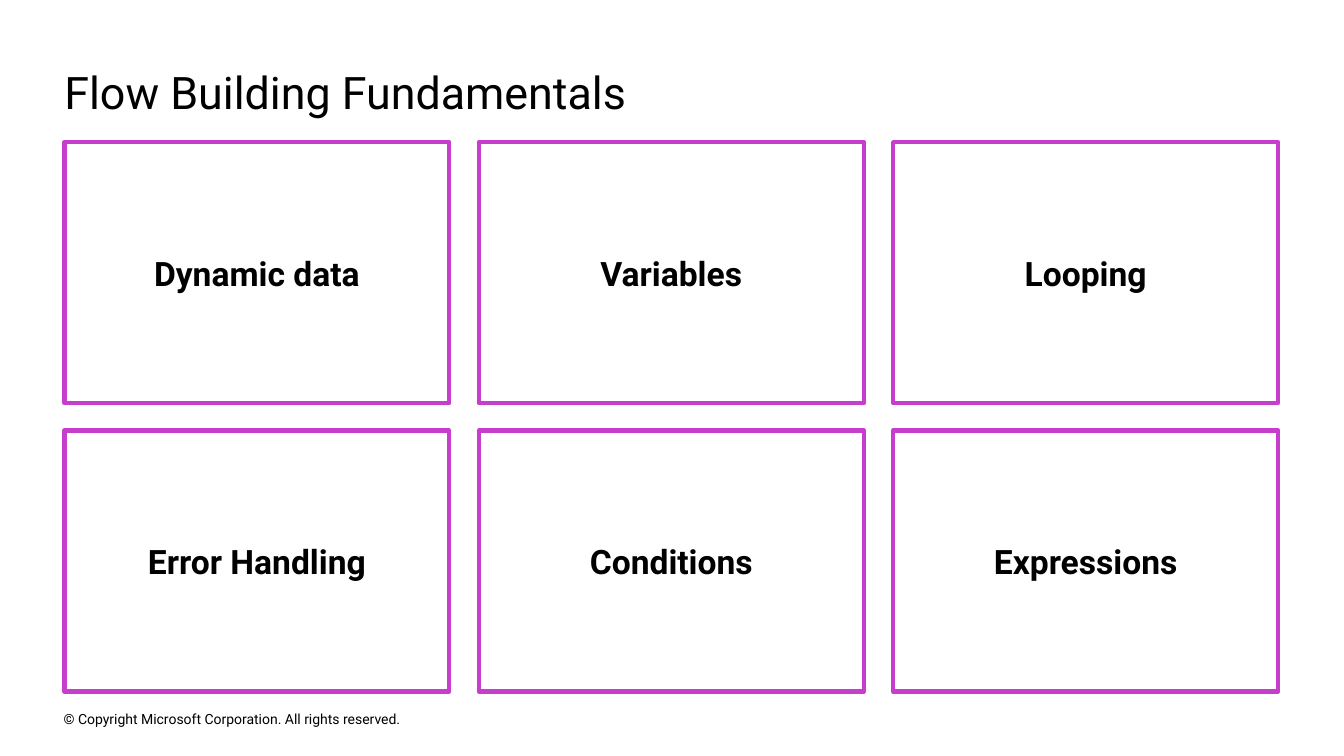
from pptx import Presentation
from pptx.dml.color import RGBColor
from pptx.enum.shapes import MSO_SHAPE
from pptx.enum.text import MSO_ANCHOR, PP_ALIGN
from pptx.util import Pt

RECT = MSO_SHAPE.RECTANGLE
TOP, MIDDLE = MSO_ANCHOR.TOP, MSO_ANCHOR.MIDDLE
LEFT, CENTER = PP_ALIGN.LEFT, PP_ALIGN.CENTER
BLACK = RGBColor(0x00, 0x00, 0x00)
WHITE = RGBColor(0xFF, 0xFF, 0xFF)
PURPLE = RGBColor(0xC7, 0x3E, 0xCC)


def write(shape, text, size, bold, align, anchor, pad_x, pad_y):
    frame = shape.text_frame
    layout = {
        "word_wrap": True,
        "vertical_anchor": anchor,
        "margin_left": Pt(pad_x),
        "margin_right": Pt(pad_x),
        "margin_top": Pt(pad_y),
        "margin_bottom": Pt(pad_y),
    }
    for key, value in layout.items():
        setattr(frame, key, value)
    line = frame.paragraphs[0]
    line.alignment = align
    run = line.add_run()
    run.text = text
    style = {"name": "Roboto", "size": Pt(size), "bold": bold}
    for key, value in style.items():
        setattr(run.font, key, value)
    run.font.color.rgb = BLACK


deck = Presentation()
deck.slide_width = Pt(960)
deck.slide_height = Pt(540)
slide = deck.slides.add_slide(deck.slide_layouts[6])
shapes = slide.shapes

notice = shapes.add_textbox(Pt(45.5), Pt(505.5), Pt(327), Pt(16))
write(notice, "© Copyright Microsoft Corporation. All rights reserved.",
      10, False, LEFT, MIDDLE, 0, 0)

title = shapes.add_textbox(Pt(46), Pt(46), Pt(867), Pt(39))
write(title, "Flow Building Fundamentals", 32, False, LEFT, TOP, 0, 0)

topics = [
    ["Dynamic data", "Variables", "Looping"],
    ["Error Handling", "Conditions", "Expressions"],
]
for row, names in enumerate(topics):
    for col, name in enumerate(names):
        card = shapes.add_shape(RECT, Pt(46 + 296 * col), Pt(101.5 + 206 * row),
                                Pt(275), Pt(186.5))
        card.shadow.inherit = False
        card.fill.solid()
        card.fill.fore_color.rgb = WHITE
        card.line.color.rgb = PURPLE
        card.line.width = Pt(3)
        write(card, name, 24, True, CENTER, MIDDLE, 14.4, 11.5)

deck.save("out.pptx")
